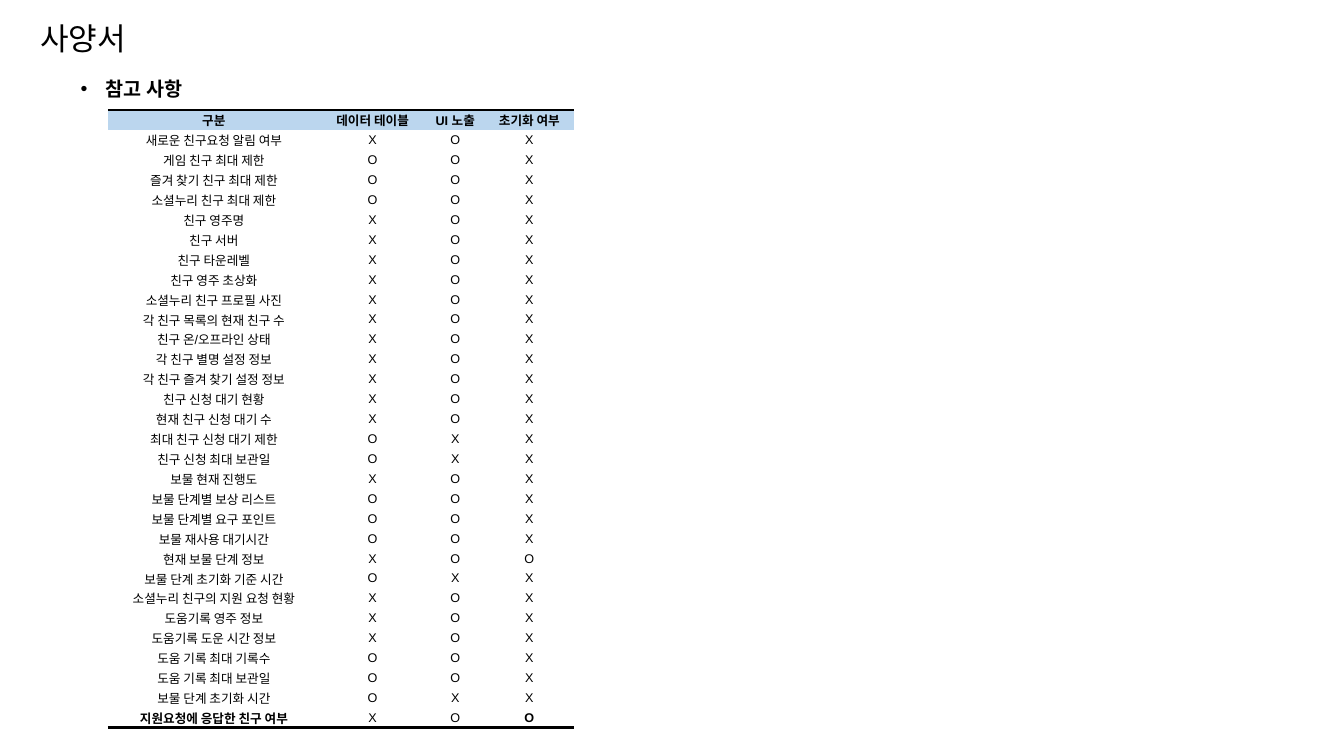
from lxml import etree
from pptx import Presentation
from pptx import util as u
from pptx.dml.color import RGBColor
from pptx.enum import text
from pptx.oxml.ns import qn

COLORS = {"ink": "000000", "header": "BBD6EE", "body": "FFFFFF"}
HEADINGS = ["구분", "데이터 테이블", "UI 노출", "초기화 여부"]
COLUMN_WIDTHS = [2.1, 1.05, 0.59, 0.88]
TABLE_HEIGHT = 6.13

# Item, then its marks for data table, UI exposure and reset
ITEMS = [
    ("새로운 친구요청 알림 여부", "XOX"),
    ("게임 친구 최대 제한", "OOX"),
    ("즐겨 찾기 친구 최대 제한", "OOX"),
    ("소셜누리 친구 최대 제한", "OOX"),
    ("친구 영주명", "XOX"),
    ("친구 서버", "XOX"),
    ("친구 타운레벨", "XOX"),
    ("친구 영주 초상화", "XOX"),
    ("소셜누리 친구 프로필 사진", "XOX"),
    ("각 친구 목록의 현재 친구 수", "XOX"),
    ("친구 온/오프라인 상태", "XOX"),
    ("각 친구 별명 설정 정보", "XOX"),
    ("각 친구 즐겨 찾기 설정 정보", "XOX"),
    ("친구 신청 대기 현황", "XOX"),
    ("현재 친구 신청 대기 수", "XOX"),
    ("최대 친구 신청 대기 제한", "OXX"),
    ("친구 신청 최대 보관일", "OXX"),
    ("보물 현재 진행도", "XOX"),
    ("보물 단계별 보상 리스트", "OOX"),
    ("보물 단계별 요구 포인트", "OOX"),
    ("보물 재사용 대기시간", "OOX"),
    ("현재 보물 단계 정보", "XOO"),
    ("보물 단계 초기화 기준 시간", "OXX"),
    ("소셜누리 친구의 지원 요청 현황", "XOX"),
    ("도움기록 영주 정보", "XOX"),
    ("도움기록 도운 시간 정보", "XOX"),
    ("도움 기록 최대 기록수", "OOX"),
    ("도움 기록 최대 보관일", "OOX"),
    ("보물 단계 초기화 시간", "OXX"),
    ("지원요청에 응답한 친구 여부", "XOO"),
]


class SpecPage:
    font = "Arial"

    def __init__(self, deck):
        self.page = deck.slides.add_slide(deck.slide_layouts[6])

    def add_span(self, para, words, size, bold=False):
        span = para.add_run()
        span.text = words
        span.font.name = self.font
        span.font.size = u.Pt(size)
        span.font.bold = bold
        span.font.color.rgb = RGBColor.from_string(COLORS["ink"])

    def text_box(self, words, place, size, spacing, bold=False, bullet=False):
        box = self.page.shapes.add_textbox(*map(u.Inches, place))
        box.text_frame.word_wrap = True
        para = box.text_frame.paragraphs[0]
        para.line_spacing = spacing
        if bullet:
            self.add_bullet(para)
        self.add_span(para, words, size, bold)

    def add_bullet(self, para):
        props = para._p.get_or_add_pPr()
        props.set("marL", str(u.Inches(0.25)))
        props.set("indent", str(-u.Inches(0.25)))
        etree.SubElement(props, qn("a:buFont"), typeface=self.font)
        etree.SubElement(props, qn("a:buChar"), char="•")

    def table(self, rows, left, top, widths, height):
        frame = self.page.shapes.add_table(
            len(rows), len(widths), u.Inches(left), u.Inches(top),
            u.Inches(sum(widths)), u.Inches(height))
        grid = frame.table
        grid.horz_banding = False
        for column, width in zip(grid.columns, widths):
            column.width = u.Inches(width)
        last = len(rows) - 1
        for r, row in enumerate(rows):
            grid.rows[r].height = u.Inches(height / len(rows))
            for c, words in enumerate(row):
                # Bold: the headings, and the outer cells of the closing item
                bold = r == 0 or (r == last and c in (0, 3))
                heavy = {0: "a:lnT", last: "a:lnB"}.get(r)
                self.cell(grid.cell(r, c), words, bold, "body" if r else "header", heavy)

    def cell(self, cell, words, bold, fill, heavy):
        cell.vertical_anchor = text.MSO_ANCHOR.MIDDLE
        cell.margin_left = cell.margin_right = cell.margin_top = u.Inches(0.01)
        cell.margin_bottom = 0
        para = cell.text_frame.paragraphs[0]
        para.alignment = text.PP_ALIGN.CENTER
        self.add_span(para, words, 9, bold)
        self.borders(cell, heavy)
        cell.fill.solid()
        cell.fill.fore_color.rgb = RGBColor.from_string(COLORS[fill])

    def borders(self, cell, heavy):
        props = cell._tc.get_or_add_tcPr()
        for side in ("a:lnL", "a:lnR", "a:lnT", "a:lnB"):
            width = u.Pt(2) if side == heavy else 0
            line = etree.SubElement(props, qn(side), w=str(width))
            if side == heavy:
                paint = etree.SubElement(line, qn("a:solidFill"))
                etree.SubElement(paint, qn("a:srgbClr"), val=COLORS["ink"])
            else:
                etree.SubElement(line, qn("a:noFill"))


def main():
    deck = Presentation()
    deck.slide_width, deck.slide_height = u.Inches(13.33), u.Inches(7.5)
    sheet = SpecPage(deck)

    # Title and section heading
    sheet.text_box("사양서", (0.3, 0, 6.49, 0.64), 22.2, 1.4)
    sheet.text_box("참고 사항", (0.7, 0.6, 12.08, 0.69), 14, 1.5, bold=True, bullet=True)

    # Reference table
    rows = [HEADINGS] + [[item, *marks] for item, marks in ITEMS]
    sheet.table(rows, 1.07, 1.09, COLUMN_WIDTHS, TABLE_HEIGHT)

    deck.save("out.pptx")


if __name__ == "__main__":
    main()
